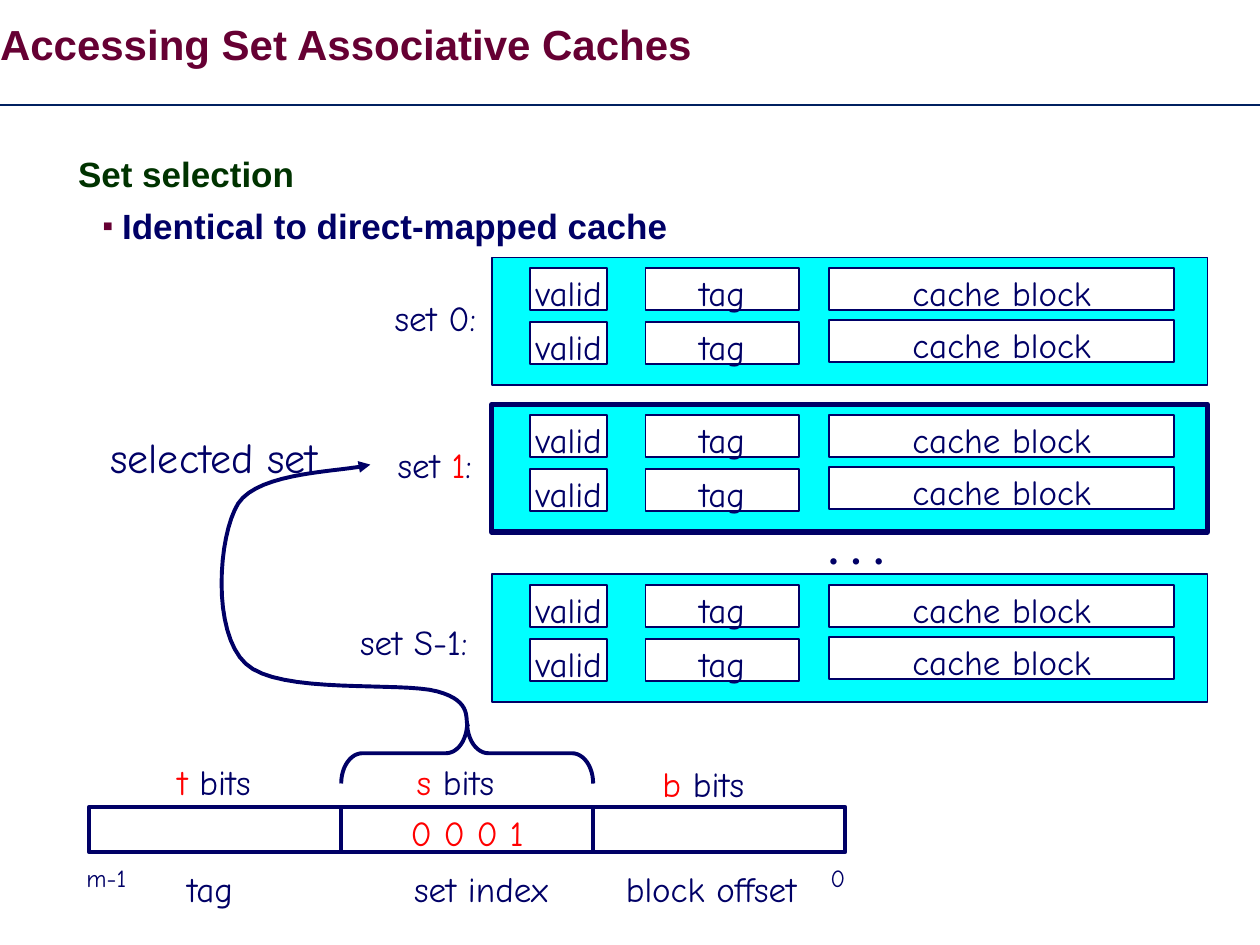
from lxml.etree import SubElement
from pptx import Presentation
from pptx.dml.color import RGBColor
from pptx.enum.shapes import MSO_CONNECTOR, MSO_SHAPE
from pptx.enum.text import MSO_ANCHOR, MSO_AUTO_SIZE, PP_ALIGN
from pptx.oxml.ns import qn
from pptx.util import Pt

NAVY, RED, MAROON, GREEN = "000066", "FF0000", "660033", "003300"
CYAN, WHITE, RULE = "00FFFF", "FFFFFF", "002060"
HAND = "Comic Neue"


def color(value):
    """Turn a hex string into a colour."""
    return RGBColor.from_string(value)


def write_text(paragraph, text, size=20, font=HAND, fill=NAVY, bold=False,
               align=PP_ALIGN.CENTER, spacing=1.16, before=0):
    """Write a string, or a list of (string, colour) pairs, into a paragraph."""
    paragraph.alignment = align
    paragraph.line_spacing = spacing
    paragraph.space_before = Pt(before)
    for words, run_fill in [(text, fill)] if isinstance(text, str) else text:
        run = paragraph.add_run()
        run.text = words
        run.font.size = Pt(size)
        run.font.name = font
        run.font.bold = bold
        run.font.color.rgb = color(run_fill)


def set_frame(frame, anchor=MSO_ANCHOR.MIDDLE, wrap=False,
              auto_size=MSO_AUTO_SIZE.NONE, inset=None):
    """Set how a text frame holds its text."""
    frame.word_wrap = wrap
    frame.auto_size = auto_size
    frame.vertical_anchor = anchor
    if inset is not None:
        frame.margin_left = frame.margin_right = Pt(inset)
        frame.margin_top = frame.margin_bottom = Pt(inset)


def place(shape, left, top, width, height):
    """Move a shape to a box given in points."""
    shape.left, shape.top = Pt(left), Pt(top)
    shape.width, shape.height = Pt(width), Pt(height)


def add_label(slide, text, left, top, width, height, anchor=MSO_ANCHOR.MIDDLE,
              auto_size=MSO_AUTO_SIZE.SHAPE_TO_FIT_TEXT, **style):
    """Add a free-standing label."""
    label = slide.shapes.add_textbox(Pt(left), Pt(top), Pt(width), Pt(height))
    set_frame(label.text_frame, anchor, auto_size=auto_size)
    write_text(label.text_frame.paragraphs[0], text, **style)


def set_outline(shape, fill, width):
    """Give a shape a plain fill or none, and a navy outline."""
    shape.shadow.inherit = False
    if fill:
        shape.fill.solid()
        shape.fill.fore_color.rgb = color(fill)
    else:
        shape.fill.background()
    shape.line.color.rgb = color(NAVY)
    shape.line.width = Pt(width)


def add_box(slide, left, top, width, height, text="", background=None, border=1, **style):
    """Add an outlined rectangle with optional text."""
    box = slide.shapes.add_shape(
        MSO_SHAPE.RECTANGLE, Pt(left), Pt(top), Pt(width), Pt(height))
    set_outline(box, background, border)
    if text:
        set_frame(box.text_frame)
        write_text(box.text_frame.paragraphs[0], text, **style)


def add_bullet(paragraph, character, fill, percent, left, hanging):
    """Give a paragraph a hanging indent and a coloured bullet, if any."""
    properties = paragraph._p.get_or_add_pPr()
    properties.set("marL", str(Pt(left)))
    properties.set("indent", str(-Pt(hanging)))
    if character:
        bullet_color = SubElement(properties, qn("a:buClr"))
        SubElement(bullet_color, qn("a:srgbClr"), val=fill)
        SubElement(properties, qn("a:buSzPct"), val=str(percent * 1000))
        SubElement(properties, qn("a:buFont"), typeface="Arial")
        SubElement(properties, qn("a:buChar"), char=character)
    else:
        SubElement(properties, qn("a:buNone"))


def add_heading(slide, width):
    """Fill the title placeholder and draw the rule under it."""
    title = slide.shapes.title
    place(title, 0, 0, 660, 54)
    set_frame(title.text_frame, wrap=True, inset=0)
    write_text(title.text_frame.paragraphs[0], "Accessing Set Associative Caches",
               size=24, font="Arial", fill=MAROON, bold=True,
               align=PP_ALIGN.LEFT, spacing=0.85)
    rule = slide.shapes.add_connector(
        MSO_CONNECTOR.STRAIGHT, Pt(0), Pt(60), Pt(width), Pt(60))
    rule.line.color.rgb = color(RULE)
    rule.line.width = Pt(0.75)
    SubElement(rule._element.spPr, qn("a:effectLst"))


def add_outline_text(slide, left, top, width, height):
    """Fill the body placeholder with the topic and its point."""
    body = slide.placeholders[1]
    place(body, left, top, width, height)
    frame = body.text_frame
    set_frame(frame, MSO_ANCHOR.TOP, wrap=True)
    topic, point = frame.paragraphs[0], frame.add_paragraph()
    style = dict(font="Arial", bold=True, align=PP_ALIGN.LEFT)
    add_bullet(topic, None, None, None, 25.2, 10.8)
    write_text(topic, "Set selection", fill=GREEN, spacing=0.93, **style)
    point.level = 1
    add_bullet(point, "■", MAROON, 45, 39.6, 10.8)
    write_text(point, "Identical to direct-mapped cache", spacing=0.98,
               before=6.2, **style)


def add_cache_set(slide, left, top, width, height, border=1):
    """Draw a cache set holding two lines of valid, tag and block."""
    add_box(slide, left, top, width, height, background=CYAN, border=border)
    columns = [("valid", 22, 44, 31), ("tag", 87.8, 87.8, 31),
               ("cache block", 192.8, 197.3, 29.8)]
    for text, offset, cell_width, step in columns:
        for line in range(2):
            add_box(slide, left + offset, top + 6 + line * step, cell_width, 24,
                    text, background=WHITE)


def add_cache(slide, left, width):
    """Draw the three labelled sets and the dots between them."""
    height = 73
    sets = [("set 0:", 147.2, 216.2, 65.2, 14.8, 1),
            ([("set ", NAVY), ("1", RED), (":", NAVY)], 231.1, 218, 60.9, 14.8, 3),
            ("set S-1:", 328.2, 196.7, 79.6, 18.7, 1)]
    for label, top, label_left, label_width, drop, border in sets:
        add_cache_set(slide, left, top, width, height, border)
        add_label(slide, label, label_left, top + drop, label_width, 35.3)
    add_label(slide, "• • •", left + 175.5, 304.2, 65.5, 23.8,
              auto_size=MSO_AUTO_SIZE.NONE)


def add_address(slide, left, top, field_width, height):
    """Draw the address fields with their sizes and names."""
    fields = [("t", 43.4, -33.9, "", "tag", 49),
              ("s", 36, -33.9, "0 0 0 1", "set index", 34.6),
              ("b", 32.4, -32.4, "", "block offset", 11.5)]
    style = dict(anchor=MSO_ANCHOR.TOP, auto_size=MSO_AUTO_SIZE.NONE,
                 align=PP_ALIGN.LEFT)
    for index, (letter, bits_x, bits_y, value, name, name_x) in enumerate(fields):
        x = left + index * field_width
        add_box(slide, x, top, field_width, height, value, border=2.25, fill=RED)
        add_label(slide, [(letter, RED), (" bits", NAVY)], x + bits_x, top + bits_y,
                  70, 34.6, **style)
        add_label(slide, name, x + name_x, top + 27.4, 120, 34.6, **style)
    for text, center in [("m-1", 9.8), ("0", 3 * field_width - 4.3)]:
        add_label(slide, text, left + center - 24, top + height, 48, 26.6, size=14)


def curve_points(start, segments, steps=16):
    """Return points along a chain of cubic curves."""
    points = [start]
    for first, second, end in segments:
        corners = (points[-1], first, second, end)
        for step in range(1, steps + 1):
            t = step / steps
            weights = ((1 - t) ** 3, 3 * t * (1 - t) ** 2, 3 * t * t * (1 - t), t ** 3)
            points.append(tuple(sum(w * corner[axis] for w, corner in zip(weights, corners))
                                for axis in range(2)))
    return points


def add_selection(slide, left, top, width, height):
    """Draw the brace over the index and the arrow to the selected set."""
    brace = slide.shapes.add_shape(
        MSO_SHAPE.RIGHT_BRACE, Pt(left + (width - height) / 2),
        Pt(top + (height - width) / 2), Pt(height), Pt(width))
    brace.rotation = 270
    brace.adjustments[0] = 0.35
    set_outline(brace, None, 2.25)
    add_label(slide, "selected set", 53.4, 238.3, 137.9, 41, size=24)
    tip_x, tip_y = left + width / 2, top
    segments = [((-2, -0.7), (4.4, -12.3), (-17.2, -18)),
                ((-38, -23.8), (-107.9, -15.9), (-126.6, -33.9)),
                ((-146, -51.9), (-142.4, -106.6), (-130.9, -125.3)),
                ((-118.7, -144), (-71.2, -143.3), (-55.3, -147.6))]
    points = [(Pt(tip_x + x), Pt(tip_y + y))
              for x, y in curve_points((0.6, 2.1), segments)]
    builder = slide.shapes.build_freeform(*points[0])
    builder.add_line_segments(points[1:], close=False)
    arrow = builder.convert_to_shape()
    set_outline(arrow, None, 2.25)
    SubElement(arrow.line._get_or_add_ln(), qn("a:tailEnd"), type="triangle")


def main():
    """Build the slide and save it."""
    presentation = Presentation()
    presentation.slide_width, presentation.slide_height = Pt(720), Pt(540)
    slide = presentation.slides.add_slide(presentation.slide_layouts[1])
    add_outline_text(slide, 23, 85.7, 654.5, 76.3)
    add_heading(slide, 720)
    add_cache(slide, 281, 409)
    add_address(slide, 51, 461, 144, 26)
    add_selection(slide, 195, 413.1, 144, 34.6)
    presentation.save("out.pptx")


if __name__ == "__main__":
    main()
